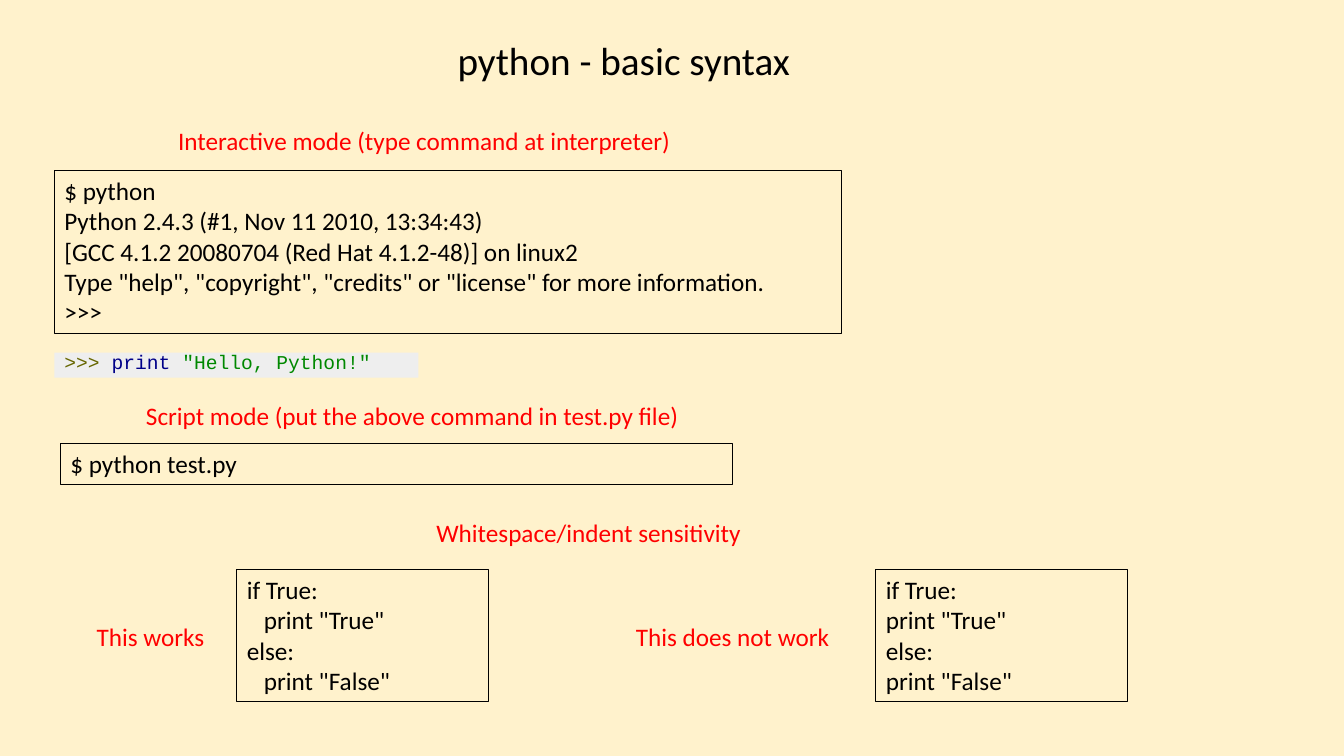
from dataclasses import dataclass

from pptx import Presentation
from pptx.dml.color import RGBColor
from pptx.enum.text import MSO_ANCHOR, MSO_AUTO_SIZE as AutoSize, PP_ALIGN
from pptx.shapes.base import BaseShape
from pptx.slide import Slide
from pptx.text.text import Font
from pptx.util import Pt

CREAM = RGBColor(0xFF, 0xF2, 0xCC)
BLACK = RGBColor(0x00, 0x00, 0x00)
RED = RGBColor(0xFF, 0x00, 0x00)
PALE_GREY = RGBColor(0xEE, 0xEE, 0xEE)
OLIVE = RGBColor(0x66, 0x66, 0x00)
NAVY = RGBColor(0x00, 0x00, 0x88)
GREEN = RGBColor(0x00, 0x88, 0x00)

BODY_FONT = "Calibri"
CODE_FONT = "Courier New"
BODY_SIZE = 18


@dataclass(frozen=True)
class Area:
    left: float
    top: float
    width: float
    height: float


@dataclass(frozen=True)
class Caption:
    text: str
    area: Area


@dataclass(frozen=True)
class Listing:
    text: str
    area: Area


@dataclass(frozen=True)
class Token:
    text: str
    color: RGBColor


CAPTIONS = [
    Caption("Interactive mode (type command at interpreter)", Area(120.2, 85.7, 374.4, 29)),
    Caption("Script mode (put the above command in test.py file)", Area(97.2, 282.2, 404, 29)),
    Caption("Whitespace/indent sensitivity", Area(304.6, 365.8, 234.7, 29)),
    Caption("This works", Area(61.9, 439.9, 92.2, 29)),
    Caption("This does not work", Area(447.1, 439.9, 154, 29)),
]

SESSION = """$ python
Python 2.4.3 (#1, Nov 11 2010, 13:34:43)
[GCC 4.1.2 20080704 (Red Hat 4.1.2-48)] on linux2
Type "help", "copyright", "credits" or "license" for more information.
>>>"""
INDENTED = 'if True:\n   print "True"\nelse:\n   print "False"'
UNINDENTED = 'if True:\nprint "True"\nelse:\nprint "False"'

LISTINGS = [
    Listing(SESSION, Area(38.9, 121.7, 562.3, 116.6)),
    Listing("$ python test.py", Area(43.2, 316.8, 480.2, 29)),
    Listing(INDENTED, Area(169.2, 406.8, 180, 94.5)),
    Listing(UNINDENTED, Area(625.7, 406.8, 180, 94.5)),
]

HELLO_AREA = Area(38.9, 251.8, 260, 18)
HELLO_TOKENS = [
    Token(">>> ", OLIVE),
    Token("print ", NAVY),
    Token('"Hello, Python!"', GREEN),
]


def place(shape: BaseShape, area: Area) -> None:
    shape.left, shape.top = Pt(area.left), Pt(area.top)
    shape.width, shape.height = Pt(area.width), Pt(area.height)


def style_font(font: Font, name: str, size: float, color: RGBColor) -> None:
    font.name = name
    font.size = Pt(size)
    font.color.rgb = color


def fill_text(shape: BaseShape, text: str, size: float, color: RGBColor, wrap: bool) -> None:
    frame = shape.text_frame
    frame.text = text
    frame.word_wrap = wrap
    frame.auto_size = AutoSize.SHAPE_TO_FIT_TEXT
    frame.vertical_anchor = MSO_ANCHOR.TOP
    for line in frame.paragraphs:
        line.alignment = PP_ALIGN.LEFT
        for run in line.runs:
            style_font(run.font, BODY_FONT, size, color)


def add_box(slide: Slide, area: Area) -> BaseShape:
    return slide.shapes.add_textbox(
        Pt(area.left), Pt(area.top), Pt(area.width), Pt(area.height)
    )


def add_caption(slide: Slide, caption: Caption) -> None:
    fill_text(add_box(slide, caption.area), caption.text, BODY_SIZE, RED, wrap=False)


def add_listing(slide: Slide, listing: Listing) -> None:
    box = add_box(slide, listing.area)
    box.line.color.rgb = BLACK
    box.line.width = Pt(0.75)
    fill_text(box, listing.text, BODY_SIZE, BLACK, wrap=True)


def add_hello_command(slide: Slide) -> None:
    bar = add_box(slide, HELLO_AREA)
    bar.fill.solid()
    bar.fill.fore_color.rgb = PALE_GREY
    frame = bar.text_frame
    frame.word_wrap = True
    frame.auto_size = AutoSize.SHAPE_TO_FIT_TEXT
    frame.vertical_anchor = MSO_ANCHOR.MIDDLE
    frame.margin_top = Pt(-2)
    for token in HELLO_TOKENS:
        run = frame.paragraphs[0].add_run()
        run.text = token.text
        style_font(run.font, CODE_FONT, 14, token.color)


def main() -> None:
    deck = Presentation()
    deck.slide_width, deck.slide_height = Pt(960), Pt(540)
    slide = deck.slides.add_slide(deck.slide_layouts[5])
    slide.background.fill.solid()
    slide.background.fill.fore_color.rgb = CREAM

    # Title
    title = slide.shapes.title
    place(title, Area(319.7, 22.3, 254.9, 41))
    fill_text(title, "python - basic syntax", 28, BLACK, wrap=False)

    # Terminal and code listings
    for listing in LISTINGS:
        add_listing(slide, listing)
    add_hello_command(slide)

    # Red captions
    for caption in CAPTIONS:
        add_caption(slide, caption)

    deck.save("out.pptx")


if __name__ == "__main__":
    main()
